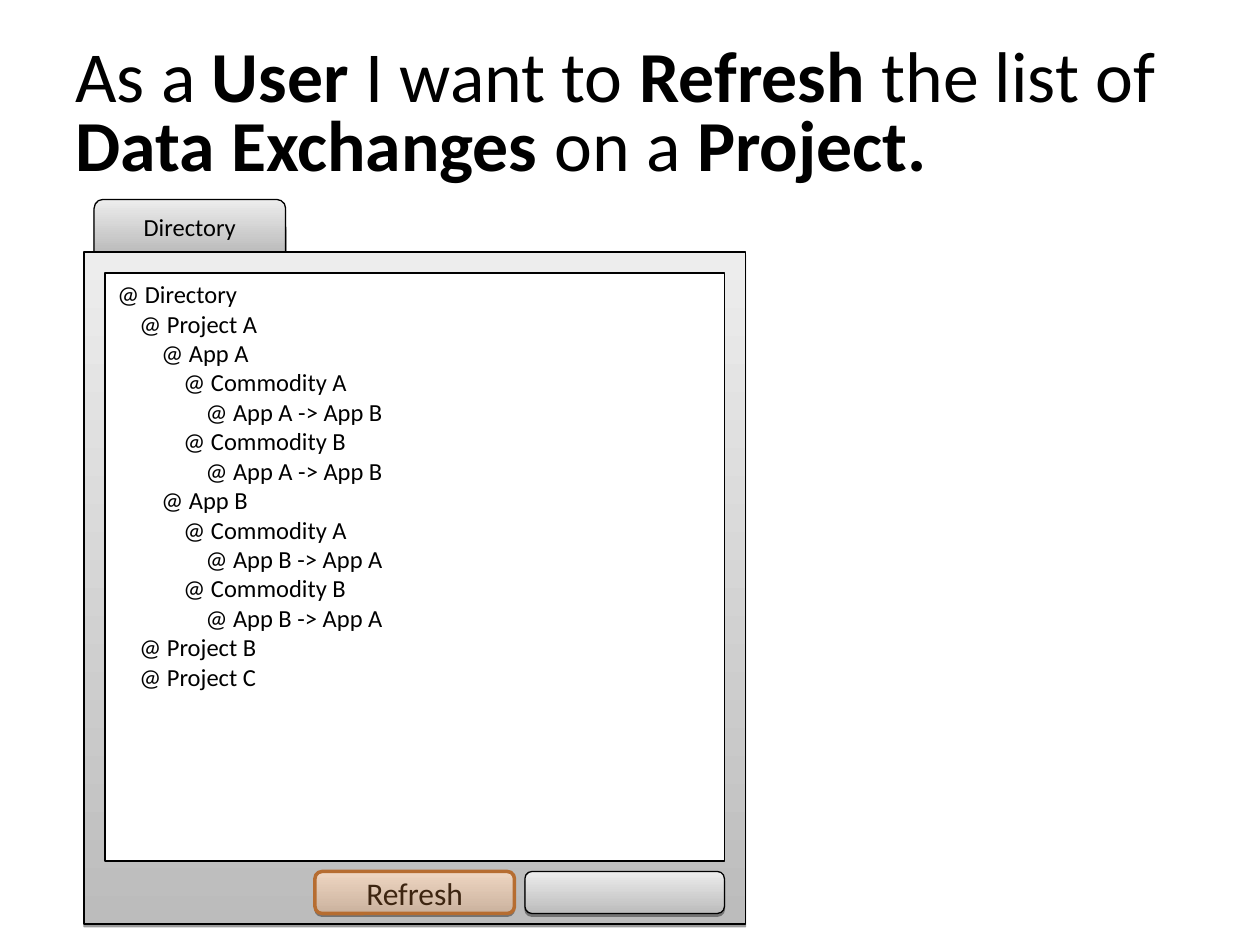
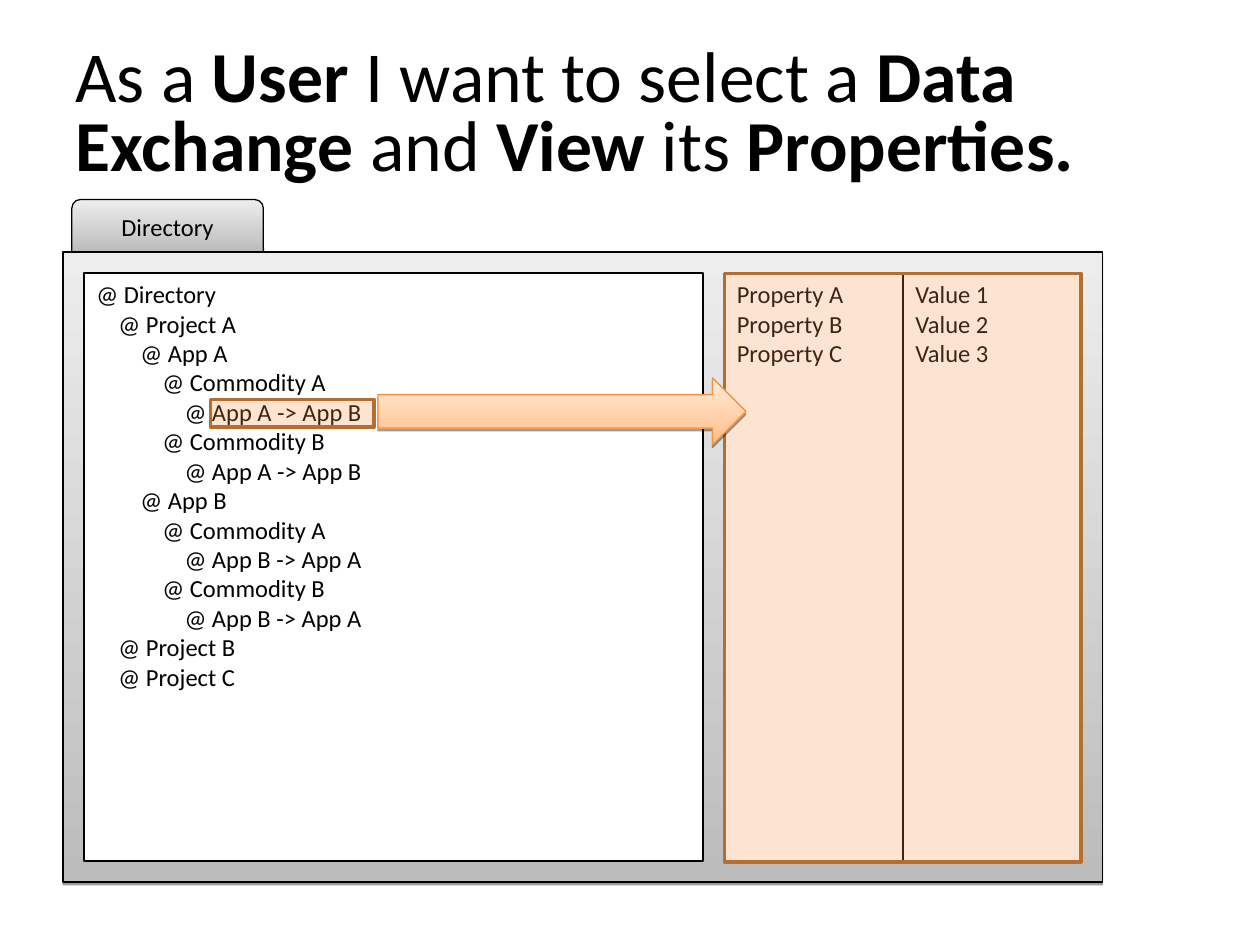
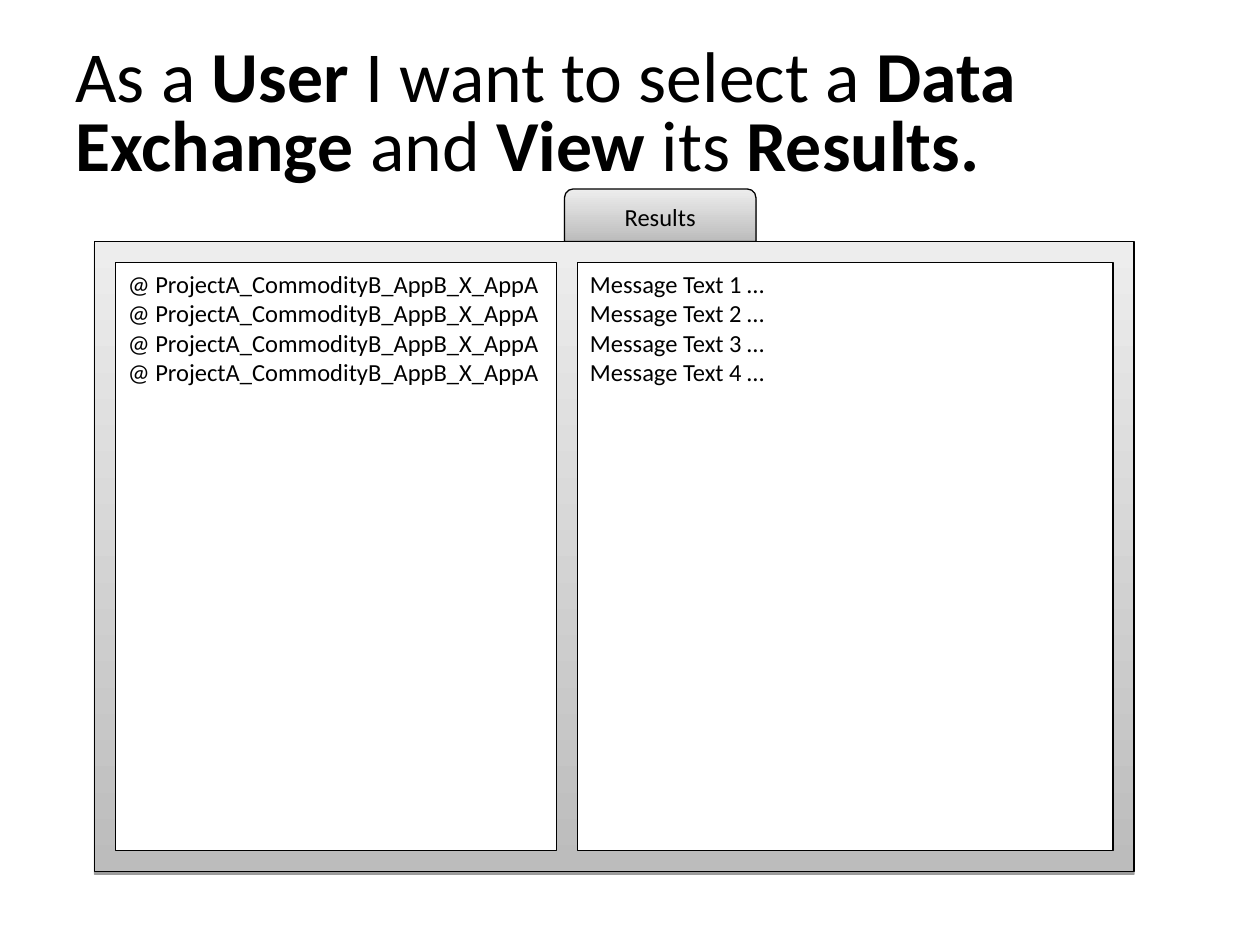
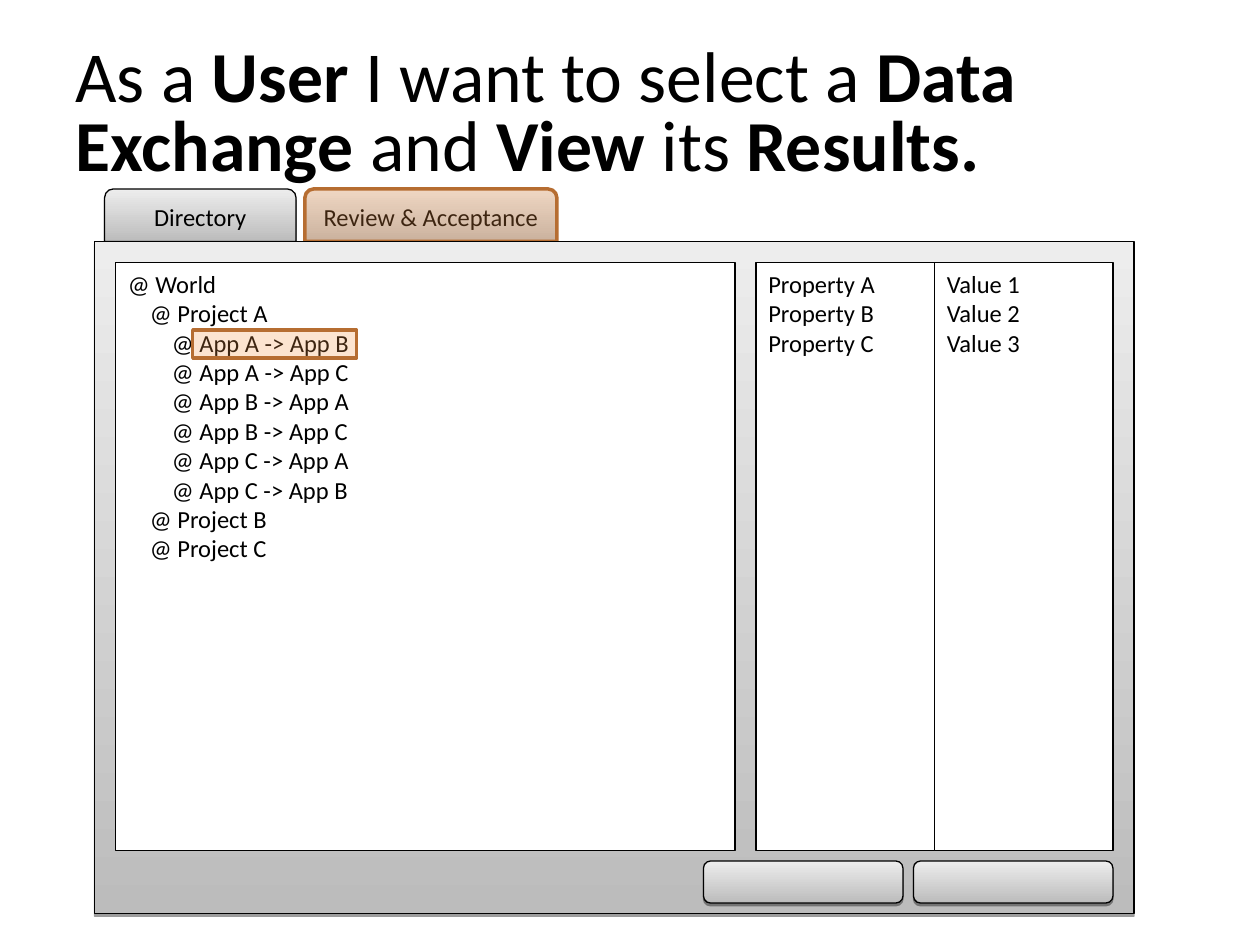
"""Builds four user-story slides, each with a tabbed window mock-up."""
from dataclasses import dataclass
from itertools import cycle

from lxml.etree import SubElement
from pptx import Presentation
from pptx.dml.color import RGBColor
from pptx.enum.shapes import MSO_SHAPE as Shape
from pptx.enum.text import MSO_ANCHOR as Anchor, PP_ALIGN as Align
from pptx.oxml.ns import qn
from pptx.util import Inches, Pt


@dataclass(frozen=True)
class Theme:
    font: str = "Calibri"
    title_size: float = 41
    body_size: float = 14
    button_size: float = 18
    ink: str = "000000"
    paper: str = "FFFFFF"
    chrome: tuple = ("BCBCBC", "EDEDED")
    arrow: tuple = ("FFBE86", "FFEBDB")
    arrow_edge: str = "F69240"
    mark: str = "F79646"
    mark_edge: str = "B66D31"
    mark_opacity: int = 25
    shadow_opacity: int = 38
    thin: float = 0.74
    medium: float = 0.99
    thick: float = 2.01


THEME = Theme()
UNIT = 1 / 12
MARGIN = 2 * UNIT
PANE_HEIGHT = 56 * UNIT
TAB_HEIGHT = 5 * UNIT
BUTTON_WIDTH, BUTTON_HEIGHT, BUTTON_GAP = 19 * UNIT, 4 * UNIT, UNIT
INDENT = 0.175
TITLE_BOX = (0.5, 0.3, 9, 1.25)

DIRECTORY = [
    (0, "@ Directory"),
    (1, "@ Project A"),
    (2, "@ App A"),
    (3, "@ Commodity A"),
    (4, "@ App A -> App B"),
    (3, "@ Commodity B"),
    (4, "@ App A -> App B"),
    (2, "@ App B"),
    (3, "@ Commodity A"),
    (4, "@ App B -> App A"),
    (3, "@ Commodity B"),
    (4, "@ App B -> App A"),
    (1, "@ Project B"),
    (1, "@ Project C"),
]
WORLD = [
    (0, "@ World"),
    (1, "@ Project A"),
    (2, "@ App A -> App B"),
    (2, "@ App A -> App C"),
    (2, "@ App B -> App A"),
    (2, "@ App B -> App C"),
    (2, "@ App C -> App A"),
    (2, "@ App C -> App B"),
    (1, "@ Project B"),
    (1, "@ Project C"),
]
PROPERTIES = [(0, f"Property {letter}") for letter in "ABC"]
VALUES = [(0, f"Value {number}") for number in (1, 2, 3)]
EXCHANGES = [(0, "@ ProjectA_CommodityB_AppB_X_AppA")] * 4
MESSAGES = [(0, f"Message Text {number} …") for number in (1, 2, 3, 4)]
RESULTS_STORY = ("As a **User** I want to select a **Data Exchange **and "
                 "**View **its **Results.**")

# Corner and pane widths are in units; tab offsets and marks are in inches.
STORIES = [
    dict(title="As a **User** I want to **Refresh** the list of "
               "**Data Exchanges **on a **Project.**",
         corner=(8, 24), tabs=[("Directory", 0.08, 1.52, False)],
         panes=[(0, 59, DIRECTORY)],
         buttons=[("", False), ("Refresh", True)], marks=[], arrows=[]),
    dict(title="As a **User** I want to select a **Data Exchange **and "
               "**View** its **Properties.**",
         corner=(6, 24), tabs=[("Directory", 0.07, 1.52, False)],
         panes=[(0, 59, DIRECTORY), (2, 17, PROPERTIES), (0, 17, VALUES)],
         buttons=[], marks=[(1.67, 3.17, 1.3, 0.22), (5.75, 2.17, 2.83, 4.67)],
         arrows=[(3, 3, 2.92, 0.53)]),
    dict(title=RESULTS_STORY,
         corner=(9, 23), tabs=[("Results", 3.73, 1.52, False)],
         panes=[(0, 42, EXCHANGES), (2, 51, MESSAGES)],
         buttons=[], marks=[], arrows=[]),
    dict(title=RESULTS_STORY,
         corner=(9, 23), tabs=[("Review & Acceptance", 1.67, 2, True),
                               ("Directory", 0.08, 1.52, False)],
         panes=[(0, 59, WORLD), (2, 17, PROPERTIES), (0, 17, VALUES)],
         buttons=[("", False), ("", False)],
         marks=[(1.53, 2.62, 1.3, 0.22)], arrows=[]),
]


def write(holder, lines, size=THEME.body_size, align=Align.LEFT,
          anchor=Anchor.TOP, spacing=None, wrap=True):
    frame = holder.text_frame
    frame.word_wrap, frame.vertical_anchor = wrap, anchor
    for index, (level, text) in enumerate(lines):
        line = frame.add_paragraph() if index else frame.paragraphs[0]
        line.alignment, line.line_spacing = align, spacing
        if level:
            line._p.get_or_add_pPr().set("marL", str(Inches(level * INDENT)))
        for part, bold in zip(text.split("**"), cycle((False, True))):
            if part:
                run = line.add_run()
                run.text = part
                run.font.name, run.font.size = THEME.font, Pt(size)
                run.font.bold = bold
                run.font.color.rgb = RGBColor.from_string(THEME.ink)


def draw(slide, kind, box, fill, edge=THEME.ink, weight=THEME.thin,
         opacity=None, shadow=False):
    shape = slide.shapes.add_shape(kind, *map(Inches, box))
    shape.line.color.rgb = RGBColor.from_string(edge)
    shape.line.width = Pt(weight)
    shape.shadow.inherit = False
    properties = shape._element.spPr
    if isinstance(fill, tuple):
        shape.fill.gradient()
        shape.fill.gradient_angle = 90
        for stop, colour in zip(shape.fill.gradient_stops, fill):
            stop.color.rgb = RGBColor.from_string(colour)
    else:
        shape.fill.solid()
        shape.fill.fore_color.rgb = RGBColor.from_string(fill)
    if opacity:
        tint = properties.find(qn("a:solidFill")).find(qn("a:srgbClr"))
        SubElement(tint, qn("a:alpha"), val=str(opacity * 1000))
    if shadow:
        outer = SubElement(properties.find(qn("a:effectLst")), qn("a:outerShdw"),
                           blurRad="0", dist=str(Pt(1.6)), dir="5400000",
                           algn="ctr", rotWithShape="0")
        tint = SubElement(outer, qn("a:srgbClr"), val=THEME.ink)
        SubElement(tint, qn("a:alpha"), val=str(THEME.shadow_opacity * 1000))
    return shape


def highlight(slide, box, kind=Shape.RECTANGLE):
    draw(slide, kind, box, THEME.mark, THEME.mark_edge, THEME.thick,
         THEME.mark_opacity)


def control(slide, kind, box, label, marked, size):
    face = draw(slide, kind, box, THEME.chrome, shadow=True)
    if label:
        write(face, [(0, label)], size=size, align=Align.CENTER,
              anchor=Anchor.MIDDLE, wrap=False)
    if marked:
        highlight(slide, box, kind)


def build(slide, story):
    left, top = (steps * UNIT for steps in story["corner"])
    panes = story["panes"]
    width = sum(gap + span for gap, span, _ in panes) * UNIT + 2 * MARGIN
    height = PANE_HEIGHT + 2 * MARGIN + (BUTTON_HEIGHT if story["buttons"] else 0)

    for label, offset, span, marked in story["tabs"]:
        control(slide, Shape.ROUND_2_SAME_RECTANGLE,
                (left + offset, top - TAB_HEIGHT, span, TAB_HEIGHT),
                label, marked, THEME.body_size)
    draw(slide, Shape.RECTANGLE, (left, top, width, height), THEME.chrome,
         shadow=True)

    pane_left = left + MARGIN
    for gap, span, lines in panes:
        pane_left += gap * UNIT
        pane = draw(slide, Shape.RECTANGLE,
                    (pane_left, top + MARGIN, span * UNIT, PANE_HEIGHT),
                    THEME.paper, weight=THEME.medium)
        write(pane, lines)
        pane_left += span * UNIT

    title = slide.shapes.add_textbox(*map(Inches, TITLE_BOX))
    write(title, [(0, story["title"])], size=THEME.title_size,
          anchor=Anchor.MIDDLE, spacing=0.8)

    button_top = top + MARGIN + PANE_HEIGHT + BUTTON_GAP
    button_left = left + width - MARGIN - BUTTON_WIDTH
    for label, marked in story["buttons"]:
        control(slide, Shape.ROUNDED_RECTANGLE,
                (button_left, button_top, BUTTON_WIDTH, BUTTON_HEIGHT),
                label, marked, THEME.button_size)
        button_left -= BUTTON_WIDTH + BUTTON_GAP

    for box in story["marks"]:
        highlight(slide, box)
    for box in story["arrows"]:
        draw(slide, Shape.RIGHT_ARROW, box, THEME.arrow, THEME.arrow_edge,
             shadow=True)


deck = Presentation()
deck.slide_width, deck.slide_height = Inches(10), Inches(7.5)
for story in STORIES:
    build(deck.slides.add_slide(deck.slide_layouts[6]), story)
deck.save("out.pptx")
